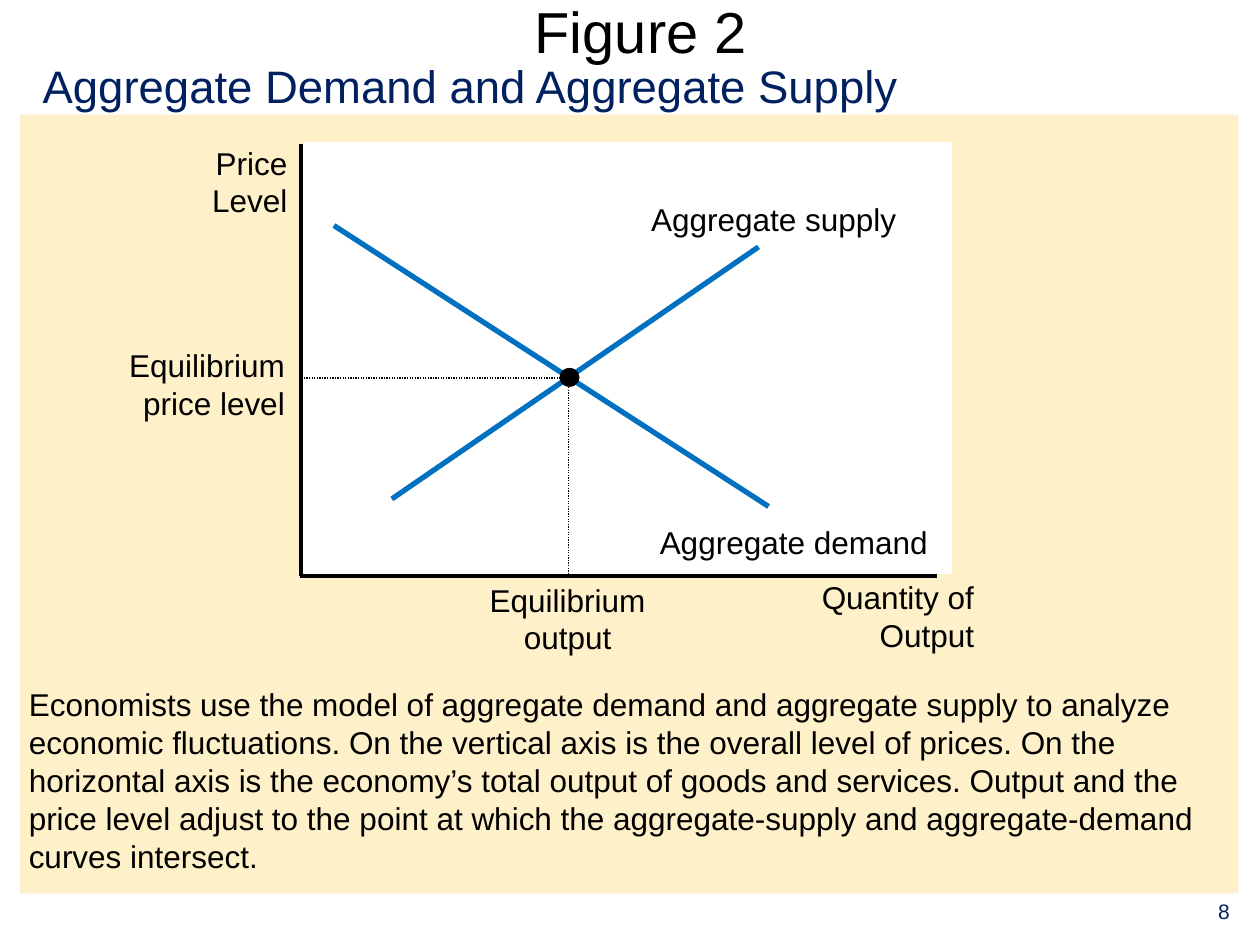
from lxml import etree
from pptx import Presentation
from pptx.dml.color import RGBColor
from pptx.enum.dml import MSO_LINE
from pptx.enum.shapes import MSO_CONNECTOR, MSO_SHAPE
from pptx.enum.text import MSO_ANCHOR, MSO_AUTO_SIZE, PP_ALIGN
from pptx.oxml.ns import qn
from pptx.util import Inches, Pt

LEFT, CENTER, RIGHT = PP_ALIGN.LEFT, PP_ALIGN.CENTER, PP_ALIGN.RIGHT
TOP, MIDDLE = MSO_ANCHOR.TOP, MSO_ANCHOR.MIDDLE
FIXED, GROW = MSO_AUTO_SIZE.NONE, MSO_AUTO_SIZE.SHAPE_TO_FIT_TEXT
RECTANGLE, OVAL = MSO_SHAPE.RECTANGLE, MSO_SHAPE.OVAL
STRAIGHT = MSO_CONNECTOR.STRAIGHT
DOTTED = MSO_LINE.ROUND_DOT

FONT = "Arial"
BLACK, WHITE, NAVY, BLUE, CREAM = "000000", "FFFFFF", "002060", "0070C0", "FEF0C8"

EXPLANATION = (
    "Economists use the model of aggregate demand and aggregate supply to analyze "
    "economic fluctuations. On the vertical axis is the overall level of prices. On the "
    "horizontal axis is the economy’s total output of goods and services. Output and the "
    "price level adjust to the point at which the aggregate-supply and aggregate-demand "
    "curves intersect."
)


def color(hex_code):
    return RGBColor.from_string(hex_code)


def add_filled(page, kind, left, top, width, height, fill, border=None):
    shape = page.shapes.add_shape(
        kind, Inches(left), Inches(top), Inches(width), Inches(height))
    shape.shadow.inherit = False
    shape.fill.solid()
    shape.fill.fore_color.rgb = color(fill)
    if border:
        shape.line.color.rgb = color(border)
        shape.line.width = Pt(2)
    else:
        shape.line.fill.background()


def add_line(page, start, end, hex_code, width, dash=None):
    line = page.shapes.add_connector(
        STRAIGHT, *(Inches(value) for value in (*start, *end)))
    line.line.color.rgb = color(hex_code)
    line.line.width = Pt(width)
    if dash:
        line.line.dash_style = dash
    properties = line._element.find(qn("p:spPr"))
    etree.SubElement(properties, qn("a:effectLst"))


def add_text(page, text, left, top, width, height, size=18, hex_code=BLACK,
             align=LEFT, anchor=TOP, space_before=0, wrap=False):
    box = page.shapes.add_textbox(
        Inches(left), Inches(top), Inches(width), Inches(height))
    frame = box.text_frame
    frame.word_wrap = wrap
    # Unwrapped text needs a growing box to stay on its own lines
    frame.auto_size = FIXED if wrap else GROW
    frame.vertical_anchor = anchor
    frame.text = text
    for para in frame.paragraphs:
        para.alignment = align
        para.space_before = Pt(space_before)
        para.font.name = FONT
        para.font.size = Pt(size)
        para.font.color.rgb = color(hex_code)


def add_headings(page):
    add_text(page, "Figure 2", 0.35, 0, 9.47, 0.49, 33, align=CENTER,
             anchor=MIDDLE, wrap=True)
    add_text(page, "Aggregate Demand and Aggregate Supply", 0.24, 0.41, 7.01, 0.54,
             26, NAVY, space_before=6.5)


def add_diagram(page):
    # Plot area and axes
    add_filled(page, RECTANGLE, 2.42, 1.14, 5.12, 3.4, WHITE, WHITE)
    add_line(page, (2.39, 1.14), (2.39, 4.57), BLACK, 2.25)
    add_line(page, (2.38, 4.57), (7.44, 4.57), BLACK, 2.25)

    # Guides to the equilibrium, then the two curves
    add_line(page, (4.51, 3), (2.41, 3), BLACK, 0.75, DOTTED)
    add_line(page, (3.11, 3.96), (6.02, 1.96), BLUE, 3)
    add_line(page, (2.65, 1.79), (6.1, 4.02), BLUE, 3)
    add_line(page, (4.51, 2.97), (4.51, 4.58), BLACK, 0.75, DOTTED)
    add_filled(page, OVAL, 4.44, 2.92, 0.16, 0.15, BLACK)

    # Labels, a little wider than their longest line
    labels = [
        ("Price\nLevel", 1.58, 1.09, 0.8, 0.7, RIGHT),
        ("Quantity of\nOutput", 6.4, 4.54, 1.43, 0.7, RIGHT),
        ("Equilibrium\nprice level", 0.9, 2.7, 1.46, 0.7, RIGHT),
        ("Equilibrium\noutput", 3.77, 4.56, 1.47, 0.7, CENTER),
        ("Aggregate supply", 5.05, 1.54, 2.18, 0.4, CENTER),
        ("Aggregate demand", 5.12, 4.1, 2.36, 0.4, CENTER),
    ]
    for text, left, top, width, height, align in labels:
        add_text(page, text, left, top, width, height, align=align)


def main():
    deck = Presentation()
    deck.slide_width, deck.slide_height = Inches(10), Inches(7.5)
    page = deck.slides.add_slide(deck.slide_layouts[6])

    add_filled(page, RECTANGLE, 0.16, 0.91, 9.67, 6.18, CREAM)
    add_headings(page)
    add_diagram(page)

    # Explanation and page number
    add_text(page, EXPLANATION, 0.13, 5.39, 9.75, 1.6, space_before=4.5, wrap=True)
    add_text(page, "8", 9.43, 7.08, 0.57, 0.41, 12, NAVY, CENTER, wrap=True)

    deck.save("out.pptx")


if __name__ == "__main__":
    main()
